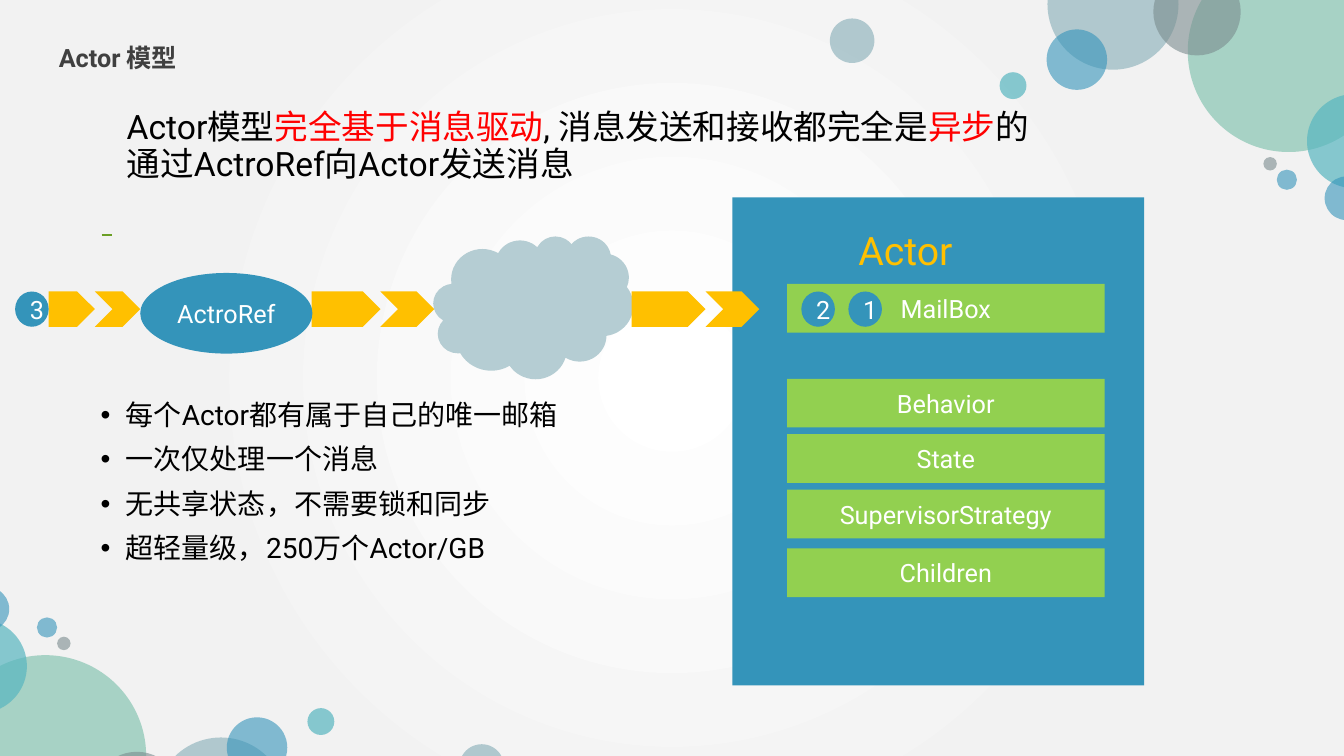
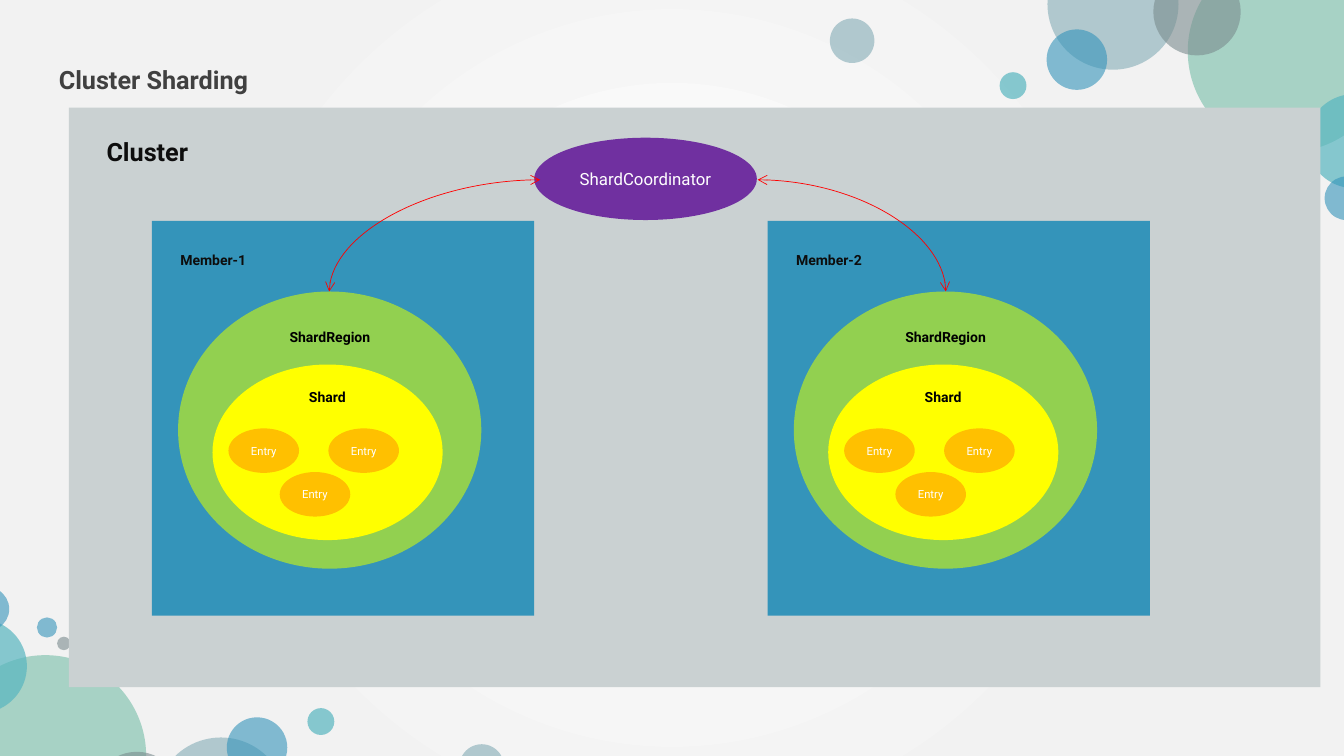
from lxml.etree import SubElement
from pptx import Presentation
from pptx.dml.color import RGBColor
from pptx.enum.shapes import MSO_CONNECTOR, MSO_SHAPE
from pptx.enum.text import MSO_ANCHOR, MSO_AUTO_SIZE, PP_ALIGN
from pptx.oxml import parse_xml
from pptx.oxml.ns import nsdecls, qn
from pptx.util import Inches, Pt

COLORS = {
    "blue": "3494BA", "teal": "58B6C0", "mint": "75BDA7", "mist": "84ACB6",
    "slate": "7A8C8E", "cloud": "B5CDD3", "silver": "CAD1D2", "green": "92D050",
    "olive": "6B9F25", "amber": "FFC000", "yellow": "FFFF00", "purple": "7030A0",
    "red": "FF0000", "white": "FFFFFF", "paper": "F2F2F2", "title": "404040",
    "ink": "0D0D0D", "black": "000000",
}

BUBBLES = [
    (124.7, -7.3, 15.6, "mist"), (141.4, -5.9, 24, "mint"),
    (137.3, -3.8, 10.4, "slate"), (124.6, 3.5, 7.2, "blue"),
    (155.6, 11.2, 11.2, "teal"), (119, 8.6, 3.2, "teal"),
    (157.7, 21, 5.2, "blue"), (152, 20.2, 2.4, "blue"),
    (150.4, 18.7, 1.6, "slate"), (98.8, 2.2, 5.3, "mist"),
]


class Deck:
    COLUMNS, ROWS = 160, 90
    FONT = "Roboto"

    def __init__(self):
        self.presentation = Presentation()
        self.presentation.slide_width = Inches(13.33)
        self.presentation.slide_height = Inches(7.5)
        self.layout = self.presentation.slide_layouts[5]
        self.slide = None

    def place(self, *lengths):
        units = (self.presentation.slide_width / self.COLUMNS,
                 self.presentation.slide_height / self.ROWS)
        return [round(length * units[index % 2]) for index, length in enumerate(lengths)]

    def color(self, name):
        return RGBColor.from_string(COLORS[name])

    def style_run(self, run, size, color, bold=False):
        run.font.name = self.FONT
        run.font.size = Pt(size)
        run.font.bold = bold
        run.font.color.rgb = self.color(color)

    def style_paragraph(self, paragraph, size, color, bold=False, spacing=None,
                        before=0, align=PP_ALIGN.LEFT):
        paragraph.alignment = align
        paragraph.line_spacing = spacing
        paragraph.space_before = Pt(before)
        for run in paragraph.runs:
            self.style_run(run, size, color, bold)

    def indent(self, paragraph, margin, first, bullet=None):
        properties = paragraph._p.get_or_add_pPr()
        properties.set("marL", str(Inches(margin)))
        properties.set("indent", str(Inches(first)))
        if bullet:
            SubElement(properties, qn("a:buFont")).set("typeface", "Arial")
            SubElement(properties, qn("a:buChar")).set("char", bullet)

    def decorate_layout(self):
        stops = "".join(
            f'<a:gs pos="{position}"><a:srgbClr val="{COLORS[name]}"/></a:gs>'
            for position, name in ((0, "white"), (67000, "paper"), (100000, "paper")))
        self.layout.element.cSld.insert(0, parse_xml(
            f'<p:bg {nsdecls("p", "a")}><p:bgPr><a:gradFill rotWithShape="1">'
            f'<a:gsLst>{stops}</a:gsLst><a:path path="circle">'
            '<a:fillToRect l="50000" t="50000" r="50000" b="50000"/></a:path>'
            '</a:gradFill><a:effectLst/></p:bgPr></p:bg>'))
        opposite = [(158.8 - left - size, 96.1 - top - size, size, name)
                    for left, top, size, name in BUBBLES]
        for left, top, size, name in BUBBLES + opposite:
            bubble = self.shape(MSO_SHAPE.OVAL, left, top, size, size, name)
            alpha = SubElement(next(bubble.element.spPr.iter(qn("a:srgbClr"))), qn("a:alpha"))
            alpha.set("val", "70000" if name == "teal" else "60000")
            self.layout.shapes.element.append(bubble.element)

    def add_slide(self, title, top):
        first = self.slide is None
        self.slide = self.presentation.slides.add_slide(self.layout)
        if first:
            self.decorate_layout()
        shape = self.slide.shapes.title
        shape.left, shape.top, shape.width, shape.height = self.place(5.8, top, 44.6, 5.3)
        frame = shape.text_frame
        frame.text = title
        frame.auto_size = MSO_AUTO_SIZE.NONE
        frame.vertical_anchor = MSO_ANCHOR.TOP
        self.style_paragraph(frame.paragraphs[0], 18, "title", True, 1.3, 10)

    def shape(self, kind, left, top, width, height, fill, text="", size=18):
        shape = self.slide.shapes.add_shape(kind, *self.place(left, top, width, height))
        shape.shadow.inherit = False
        shape.fill.solid()
        shape.fill.fore_color.rgb = self.color(fill)
        shape.line.fill.background()
        if text:
            shape.text_frame.text = text
            self.style_paragraph(shape.text_frame.paragraphs[0], size, "white",
                                 align=PP_ALIGN.CENTER)
        return shape

    def text_frame(self, left, top, width, height):
        box = self.slide.shapes.add_textbox(*self.place(left, top, width, height))
        box.text_frame.word_wrap = True
        return box.text_frame

    def label(self, text, left, top, width, height, size, color, bold=True):
        frame = self.text_frame(left, top, width, height)
        frame.text = text
        self.style_paragraph(frame.paragraphs[0], size, color, bold, 1.3)

    def statement(self, parts, left, top, width, height, size):
        paragraph = self.text_frame(left, top, width, height).paragraphs[0]
        self.style_paragraph(paragraph, size, "black", spacing=0.9, before=10)
        self.indent(paragraph, 0.25, 0)
        for text, color in parts:
            run = paragraph.add_run()
            run.text = text
            self.style_run(run, size, color)

    def bullets(self, items, left, top, width, height, size):
        frame = self.text_frame(left, top, width, height)
        frame.text = "\n".join(items)
        for paragraph in frame.paragraphs:
            self.style_paragraph(paragraph, size, "black", spacing=0.9, before=10)
            self.indent(paragraph, 0.25, -0.25, "•")

    def line(self, kind, start, end, color, width):
        connector = self.slide.shapes.add_connector(kind, *self.place(*start, *end))
        connector.line.color.rgb = self.color(color)
        connector.line.width = Pt(width)
        SubElement(connector.element.spPr, qn("a:effectLst"))
        return connector

    def curved_arrow(self, start, end):
        properties = self.line(MSO_CONNECTOR.CURVE, start, end, "red", 0.5).element.spPr
        properties.find(qn("a:prstGeom")).set("prst", "curvedConnector2")
        for tip in ("a:headEnd", "a:tailEnd"):
            SubElement(properties.find(qn("a:ln")), qn(tip)).set("type", "arrow")

    def double_arrow(self, left, plate, chevron):
        self.shape(MSO_SHAPE.PENTAGON, left, 34.7, plate, 4.2, "amber")
        self.shape(MSO_SHAPE.CHEVRON, left + plate, 34.7, chevron, 4.2, "amber")

    def member(self, name, left):
        self.shape(MSO_SHAPE.RECTANGLE, left, 26.3, 45.5, 47, "blue")
        self.label(name, left + 2.2, 28.8, 13.1, 3.7, 10, "ink")
        self.shape(MSO_SHAPE.OVAL, left + 3.1, 34.7, 36.1, 33, "green")
        self.label("ShardRegion", left + 15.2, 37.9, 13.1, 3.7, 10, "black")
        self.shape(MSO_SHAPE.OVAL, left + 7.2, 43.4, 27.4, 20.9, "yellow")
        self.label("Shard", left + 17.5, 45.1, 7.7, 3.7, 10, "black")
        for offset, top in ((9.1, 51), (21, 51), (15.2, 56.2)):
            self.shape(MSO_SHAPE.OVAL, left + offset, top, 8.4, 5.3, "amber", "Entry", 8)


def build_actor_model(deck):
    deck.add_slide("Actor 模型", 3.4)
    deck.shape(MSO_SHAPE.RECTANGLE, 87.2, 23.5, 49, 58.1, "blue")
    parts = {"MailBox": 33.8, "Behavior": 45.1, "State": 51.7,
             "SupervisorStrategy": 58.3, "Children": 65.3}
    for name, top in parts.items():
        deck.shape(MSO_SHAPE.RECTANGLE, 93.7, top, 37.8, 5.8, "green", name)
    deck.label("Actor", 101, 24.7, 15.2, 7.8, 28, "amber", False)
    deck.shape(MSO_SHAPE.CLOUD, 51.6, 28.1, 23.8, 17, "cloud")
    for left, plate, chevron in ((5.8, 5.5, 5.4), (37.1, 8.2, 6.4), (75.2, 8.8, 6.4)):
        deck.double_arrow(left, plate, chevron)
    deck.shape(MSO_SHAPE.OVAL, 16.7, 32.5, 20.5, 9.6, "blue", "ActroRef")
    for number, left in (("3", 1.8), ("2", 95.4), ("1", 101)):
        deck.shape(MSO_SHAPE.OVAL, left, 34.7, 4, 4.2, "blue", number)
    deck.statement([
        ("Actor模型", "black"), ("完全基于消息驱动", "red"),
        (", 消息发送和接收都完全是", "black"), ("异步", "red"),
        ("的通过ActroRef向Actor发送消息", "black"),
    ], 10.9, 12.6, 115, 9.2, 24)
    deck.line(MSO_CONNECTOR.STRAIGHT, (12.1, 28), (13.3, 28), "olive", 1.5)
    deck.bullets([
        "每个Actor都有属于自己的唯一邮箱", "一次仅处理一个消息",
        "无共享状态，不需要锁和同步", "超轻量级，250万个Actor/GB",
    ], 10.8, 47.2, 64.4, 23.9, 20)


def build_cluster_sharding(deck):
    deck.add_slide("Cluster Sharding", 6)
    cluster = deck.shape(MSO_SHAPE.RECTANGLE, 8.2, 12.8, 149, 69, "silver")
    deck.slide.shapes.title.element.addprevious(cluster.element)
    deck.label("Cluster", 11.5, 14.5, 13.1, 5.4, 18, "ink")
    for name, left in (("Member-1", 18.1), ("Member-2", 91.4)):
        deck.member(name, left)
    deck.shape(MSO_SHAPE.OVAL, 63.6, 16.4, 26.5, 9.8, "purple", "ShardCoordinator", 12)
    deck.curved_arrow((64.3, 21.4), (39.2, 34.7))
    deck.curved_arrow((90.2, 21.4), (112.6, 34.7))


def main():
    deck = Deck()
    build_actor_model(deck)
    build_cluster_sharding(deck)
    deck.presentation.save("out.pptx")


if __name__ == "__main__":
    main()
